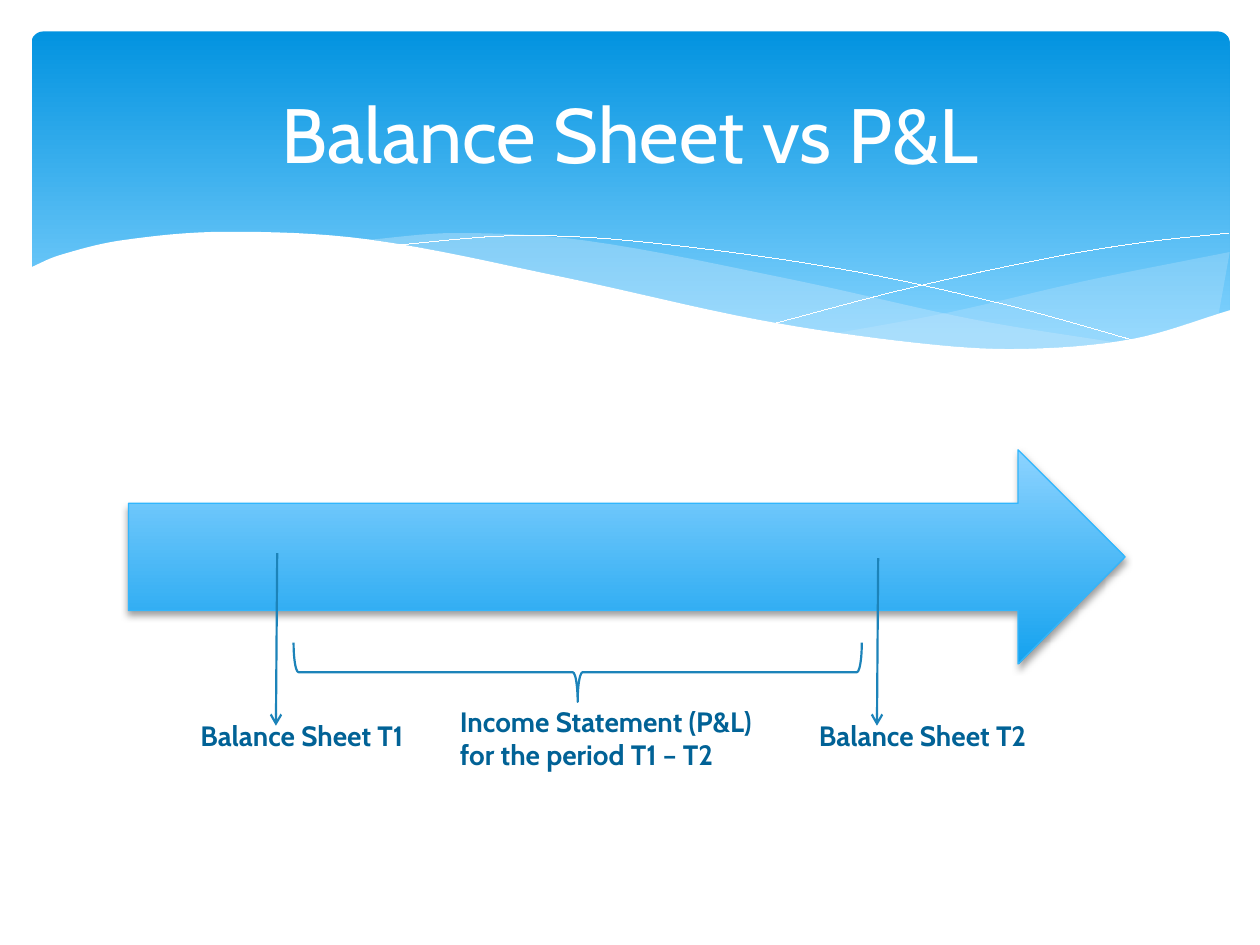
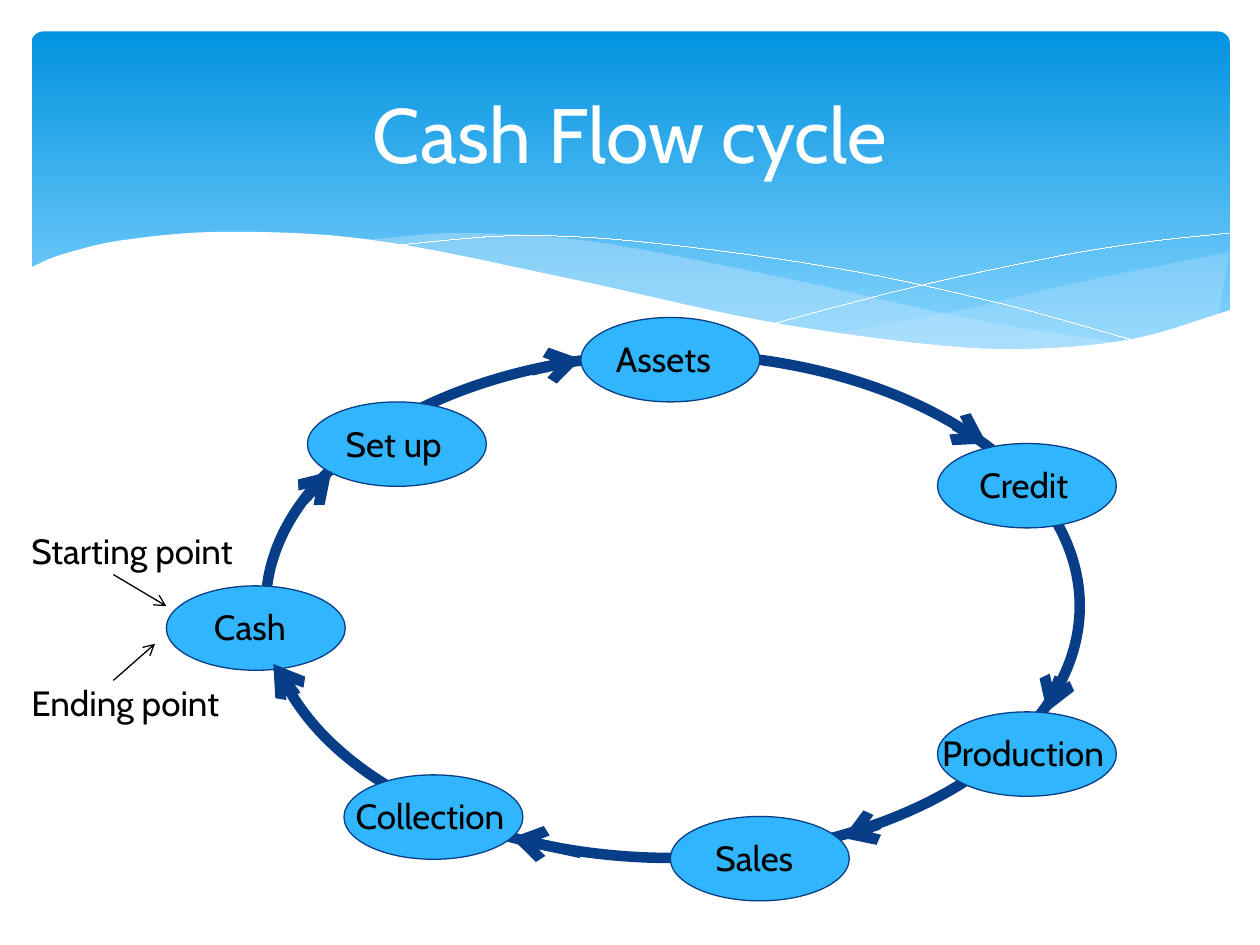
from itertools import pairwise
from typing import NamedTuple

from lxml.etree import SubElement
from pptx import Presentation
from pptx.dml.color import RGBColor
from pptx.enum.shapes import MSO_CONNECTOR as Connector, MSO_SHAPE as Shape
from pptx.enum.text import MSO_ANCHOR as Anchor, MSO_AUTO_SIZE as AutoSize, PP_ALIGN as Align
from pptx.oxml.ns import qn
from pptx.util import Inches, Pt

FONT = "Cabin"
WHITE = RGBColor(0xFF, 0xFF, 0xFF)
BLACK = RGBColor(0x00, 0x00, 0x00)
BAND_TOP = RGBColor(0x02, 0x93, 0xE0)
BAND_BOTTOM = RGBColor(0x83, 0xD3, 0xFE)
MIST = RGBColor(0xC6, 0xE7, 0xFC)
ARROW_TOP = RGBColor(0x8C, 0xD3, 0xFF)
ARROW_BOTTOM = RGBColor(0x14, 0xA2, 0xEF)
SKY = RGBColor(0x31, 0xB6, 0xFD)
STEEL = RGBColor(0x1C, 0x83, 0xB9)
TEAL = RGBColor(0x01, 0x62, 0x96)
NAVY = RGBColor(0x07, 0x3E, 0x87)

TITLE_STYLE = dict(name=FONT, size=Pt(44), bold=False)
PERIOD_STYLE = dict(name=FONT, size=Pt(16), bold=True)
CYCLE_STYLE = dict(name=FONT, size=Pt(20))
HAIRLINE = 0.01

TITLE_BOX = (0.5, 0.37, 9, 1.37)
BAND_BOX = (0.25, 0.25, 9.51, 2.7)
BAND_COVER_BOTTOM = 3.29
TIMELINE_BOX = (1.02, 3.57, 7.91, 1.7)
RING_BOX = (2.11, 2.81, 6.46, 4)
STAGE_SIZE = (1.42, 0.67)
LABEL_HEIGHT = 0.41
LABEL_DROP = 0.11

# Each wave of the band is a smooth curve through a few (x, y) knots, left to right
PAGE_EDGE = [(0.23, 2.13), (0.46, 2.03), (0.95, 1.91), (1.77, 1.84), (2.92, 1.9), (4.47, 2.2),
             (6.03, 2.54), (7.26, 2.72), (8.09, 2.77), (8.99, 2.69), (9.77, 2.46)]
RIGHT_CREST = [(6.61, 2.65), (7.53, 2.48), (8.61, 2.23), (9.76, 2)]
MIDDLE_CREST = [(2.86, 1.91), (3.61, 1.85), (4.65, 1.91), (6.29, 2.22), (7.75, 2.54), (8.93, 2.73)]
FALLING_LINE = [(3.09, 1.95), (4.1, 1.87), (5.1, 1.92), (6.65, 2.13), (7.95, 2.41), (9.07, 2.72)]
RISING_LINE = [(6.13, 2.57), (7.2, 2.29), (8.36, 2.04), (9.1, 1.92), (9.75, 1.85)]


class Label(NamedTuple):
    text: str
    corner: tuple
    size: tuple


class Stage(NamedTuple):
    """An oval of the cycle and the arrow that leads into it, from the ring's corner."""
    text: str
    label_width: float
    corner: tuple
    arrow_start: tuple
    arrow_end: tuple


class Note(NamedTuple):
    """A remark and its pointer, from the corner of the oval it points at."""
    text: str
    width: float
    corner: tuple
    arrow_start: tuple
    arrow_end: tuple


# Offsets from the corner of the timeline arrow
PERIOD_LABELS = [
    Label("Balance Sheet T1", (0.48, 2.09), (1.86, 0.35)),
    Label("Balance Sheet T2", (5.39, 2.09), (1.96, 0.35)),
    Label("Income Statement (P&L) for the period T1 – T2", (2.54, 1.98), (2.78, 0.62))]
BALANCE_POINTERS = [((1.18, 0.82), (1.17, 2.19)), ((5.95, 0.86), (5.94, 2.19))]
BRACE_CORNER, BRACE_SIZE = (3.33, -0.49), (0.47, 4.51)

CASH = Stage("Cash", 0.86, (-0.79, 1.84), (0.24, 2.71), (0.06, 2.46))
STAGES = [
    CASH,
    Stage("Set up", 1.01, (0.33, 0.38), (0.3, 1.16), (0.52, 0.93)),
    Stage("Assets", 1.06, (2.5, -0.29), (2.11, 0.13), (2.5, 0.04)),
    Stage("Credit", 0.95, (5.33, 0.71), (5.51, 0.59), (5.72, 0.71)),
    Stage("Production", 1.54, (5.33, 2.84), (6.29, 2.59), (6.2, 2.84)),
    Stage("Sales", 0.9, (3.21, 3.67), (4.87, 3.73), (4.58, 3.84)),
    Stage("Collection", 1.43, (0.62, 3.34), (2.5, 3.96), (1.95, 3.84))]
CASH_NOTES = [
    Note("Starting point", 1.85, (-1.17, -0.5), (-0.42, -0.09), (0, 0.16)),
    Note("Ending point", 1.76, (-1.17, 0.71), (-0.42, 0.75), (-0.09, 0.46))]


def inches(*values):
    return [Inches(value) for value in values]


def shift(origin, offset):
    """Return the point at an offset from the left and top of a box or point."""
    return origin[0] + offset[0], origin[1] + offset[1]


def smooth(knots, steps=8):
    """Return points on a smooth curve through the knots (cubic Hermite)."""
    neighbours = zip(knots[:1] + knots[:-1], knots[1:] + knots[-1:])
    slopes = [(after[1] - before[1]) / (after[0] - before[0]) for before, after in neighbours]
    points = []
    for ((x0, y0), slope0), ((x1, y1), slope1) in pairwise(zip(knots, slopes)):
        width = x1 - x0
        for step in range(steps):
            t = step / steps
            blend = t * t * (3 - 2 * t)
            bend = t * (1 - t) * ((1 - t) * slope0 - t * slope1)
            points.append((x0 + t * width, y0 + blend * (y1 - y0) + bend * width))
    return points + knots[-1:]


def swell(crest):
    """Return the area between a crest and the page edge below it."""
    top = smooth(crest)
    left, right = top[0][0], top[-1][0]
    bottom = [point for point in smooth(PAGE_EDGE) if left < point[0] < right]
    return top + bottom[::-1]


def style_font(paragraph, style, color):
    for name, value in style.items():
        setattr(paragraph.font, name, value)
    paragraph.font.color.rgb = color


def paint(shape, fill=None, line=None, width=HAIRLINE):
    """Set a solid, gradient (list of stops) or empty fill, and the outline."""
    shape.shadow.inherit = False
    if fill is None:
        shape.fill.background()
    elif isinstance(fill, list):
        shape.fill.gradient()
        shape.fill.gradient_angle = 270
        for stop, (position, color) in zip(shape.fill.gradient_stops, fill):
            stop.position, stop.color.rgb = position, color
    else:
        shape.fill.solid()
        shape.fill.fore_color.rgb = fill
    if line is None:
        shape.line.fill.background()
    else:
        shape.line.color.rgb = line
        shape.line.width = Pt(width)


def add_preset(slide, preset, box, **look):
    shape = slide.shapes.add_shape(preset, *inches(*box))
    paint(shape, **look)
    return shape


def add_outline(slide, points, closed=True, opacity=None, **look):
    start, *rest = [inches(*point) for point in points]
    builder = slide.shapes.build_freeform(*start)
    builder.add_line_segments(rest, close=closed)
    shape = builder.convert_to_shape()
    paint(shape, **look)
    if opacity:
        color = shape.element.spPr.find(qn("a:solidFill"))[0]
        SubElement(color, qn("a:alpha"), val=str(opacity * 1000))
    return shape


def add_arrow(slide, start, end, color, width):
    connector = slide.shapes.add_connector(Connector.STRAIGHT, *inches(*start, *end))
    connector.line.color.rgb = color
    connector.line.width = Pt(width)
    properties = connector.element.spPr
    SubElement(properties.find(qn("a:ln")), qn("a:tailEnd"), type="arrow")
    SubElement(properties, qn("a:effectLst"))


def add_label(slide, text, box, style, color, wrap=False):
    frame = slide.shapes.add_textbox(*inches(*box)).text_frame
    frame.word_wrap = wrap
    frame.auto_size = AutoSize.NONE if wrap else AutoSize.SHAPE_TO_FIT_TEXT
    if wrap:
        frame.margin_top = frame.margin_bottom = Inches(0.04)
        frame.margin_left = frame.margin_right = Inches(0.09)
    paragraph = frame.paragraphs[0]
    paragraph.text = text
    style_font(paragraph, style, color)


def drop_shadow(shape):
    effects = shape.element.spPr.find(qn("a:effectLst"))
    shadow = SubElement(effects, qn("a:outerShdw"), blurRad=str(Pt(4)), dist=str(Pt(2)),
                        dir="5400000", rotWithShape="0")
    color = SubElement(shadow, qn("a:srgbClr"), val=str(BLACK))
    SubElement(color, qn("a:alpha"), val="38000")


def move_band_to_layout(slide):
    """Draw the title band once and hand it to the layout of the slide."""
    band = add_preset(slide, Shape.ROUNDED_RECTANGLE, BAND_BOX,
                      fill=[(0, BAND_TOP), (0.9, BAND_BOTTOM)])
    band.adjustments[0] = 0.034
    parts = [band]
    for crest, opacity in ((RIGHT_CREST, 29), (MIDDLE_CREST, 40)):
        parts.append(add_outline(slide, swell(crest), opacity=opacity, fill=MIST))
    for knots in (FALLING_LINE, RISING_LINE):
        parts.append(add_outline(slide, smooth(knots), closed=False, line=WHITE))
    left, right = PAGE_EDGE[0][0], PAGE_EDGE[-1][0]
    cover_corners = [(right, BAND_COVER_BOTTOM), (left, BAND_COVER_BOTTOM)]
    parts.append(add_outline(slide, smooth(PAGE_EDGE) + cover_corners, fill=WHITE))
    for part in parts:
        slide.slide_layout.shapes.element.append(part.element)


def add_titled_slide(presentation, title):
    slide = presentation.slides.add_slide(presentation.slide_layouts.get_by_name("Title Only"))
    shape = slide.shapes.title
    shape.left, shape.top, shape.width, shape.height = inches(*TITLE_BOX)
    shape.text_frame.vertical_anchor = Anchor.MIDDLE
    paragraph = shape.text_frame.paragraphs[0]
    paragraph.text = title
    paragraph.alignment = Align.CENTER
    style_font(paragraph, TITLE_STYLE, WHITE)
    return slide


def draw_timeline(slide, box):
    arrow = add_preset(slide, Shape.RIGHT_ARROW, box,
                       fill=[(0, ARROW_TOP), (1, ARROW_BOTTOM)], line=SKY, width=0.75)
    drop_shadow(arrow)
    for label in PERIOD_LABELS:
        label_box = shift(box, label.corner) + label.size
        add_label(slide, label.text, label_box, PERIOD_STYLE, TEAL, wrap=True)
    for start, end in BALANCE_POINTERS:
        add_arrow(slide, shift(box, start), shift(box, end), STEEL, 1.25)
    brace = add_preset(slide, Shape.LEFT_BRACE, shift(box, BRACE_CORNER) + BRACE_SIZE,
                       line=STEEL, width=1.25)
    brace.rotation = 270


def draw_cycle(slide, box):
    add_preset(slide, Shape.OVAL, box, line=NAVY, width=6)
    for stage in STAGES:
        corner = shift(box, stage.corner)
        add_preset(slide, Shape.OVAL, corner + STAGE_SIZE, fill=SKY, line=NAVY, width=0.75)
        centring = (STAGE_SIZE[0] - stage.label_width) / 2
        label_box = shift(corner, (centring, LABEL_DROP)) + (stage.label_width, LABEL_HEIGHT)
        add_label(slide, stage.text, label_box, CYCLE_STYLE, BLACK)
    for stage in STAGES:
        add_arrow(slide, shift(box, stage.arrow_start), shift(box, stage.arrow_end), NAVY, 6)


def draw_cash_notes(slide, corner):
    for note in CASH_NOTES:
        note_box = shift(corner, note.corner) + (note.width, LABEL_HEIGHT)
        add_label(slide, note.text, note_box, CYCLE_STYLE, BLACK)
        add_arrow(slide, shift(corner, note.arrow_start), shift(corner, note.arrow_end), BLACK, 0.75)


def main():
    presentation = Presentation()
    presentation.slide_width, presentation.slide_height = inches(10, 7.5)
    balance_slide = add_titled_slide(presentation, "Balance Sheet vs P&L")
    move_band_to_layout(balance_slide)
    draw_timeline(balance_slide, TIMELINE_BOX)
    cycle_slide = add_titled_slide(presentation, "Cash Flow cycle")
    draw_cycle(cycle_slide, RING_BOX)
    draw_cash_notes(cycle_slide, shift(RING_BOX, CASH.corner))
    presentation.save("out.pptx")


if __name__ == "__main__":
    main()
